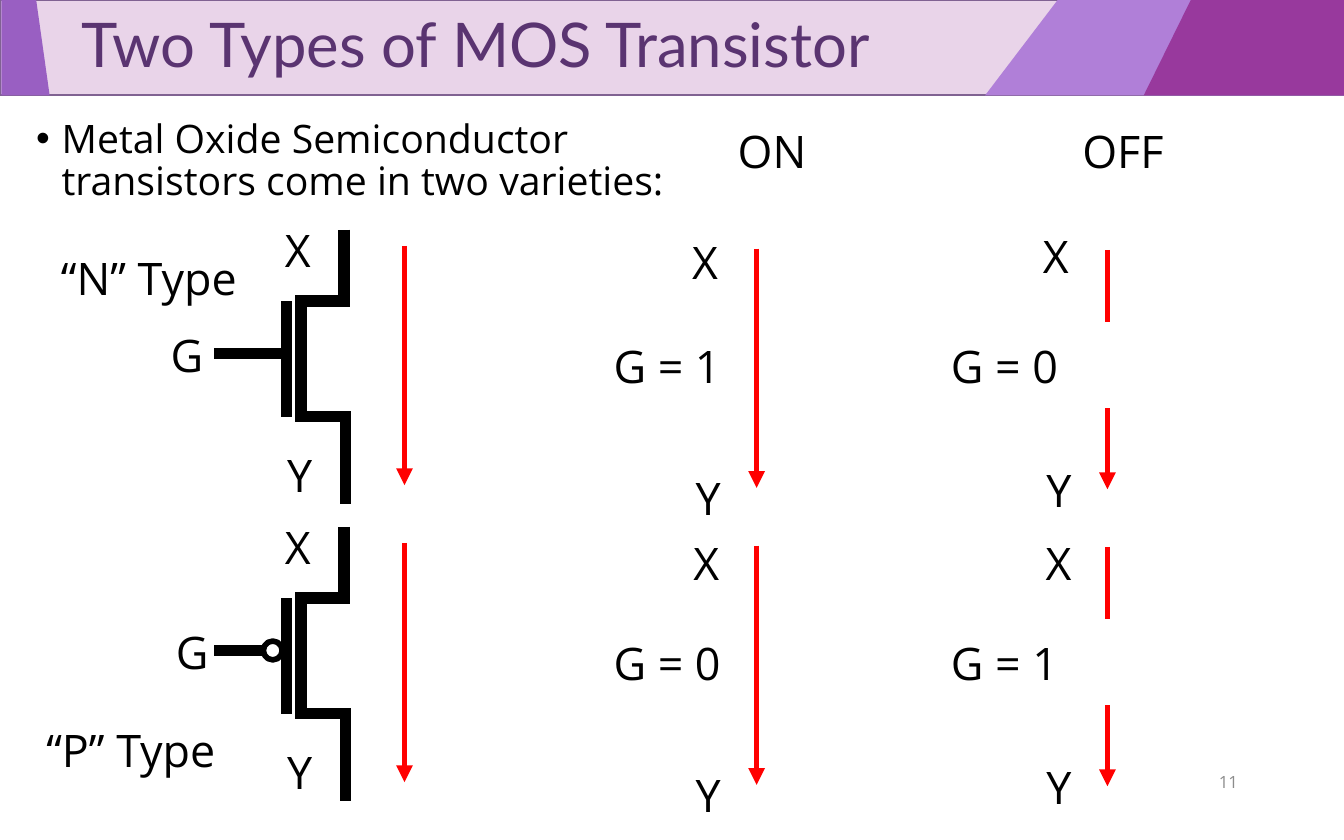
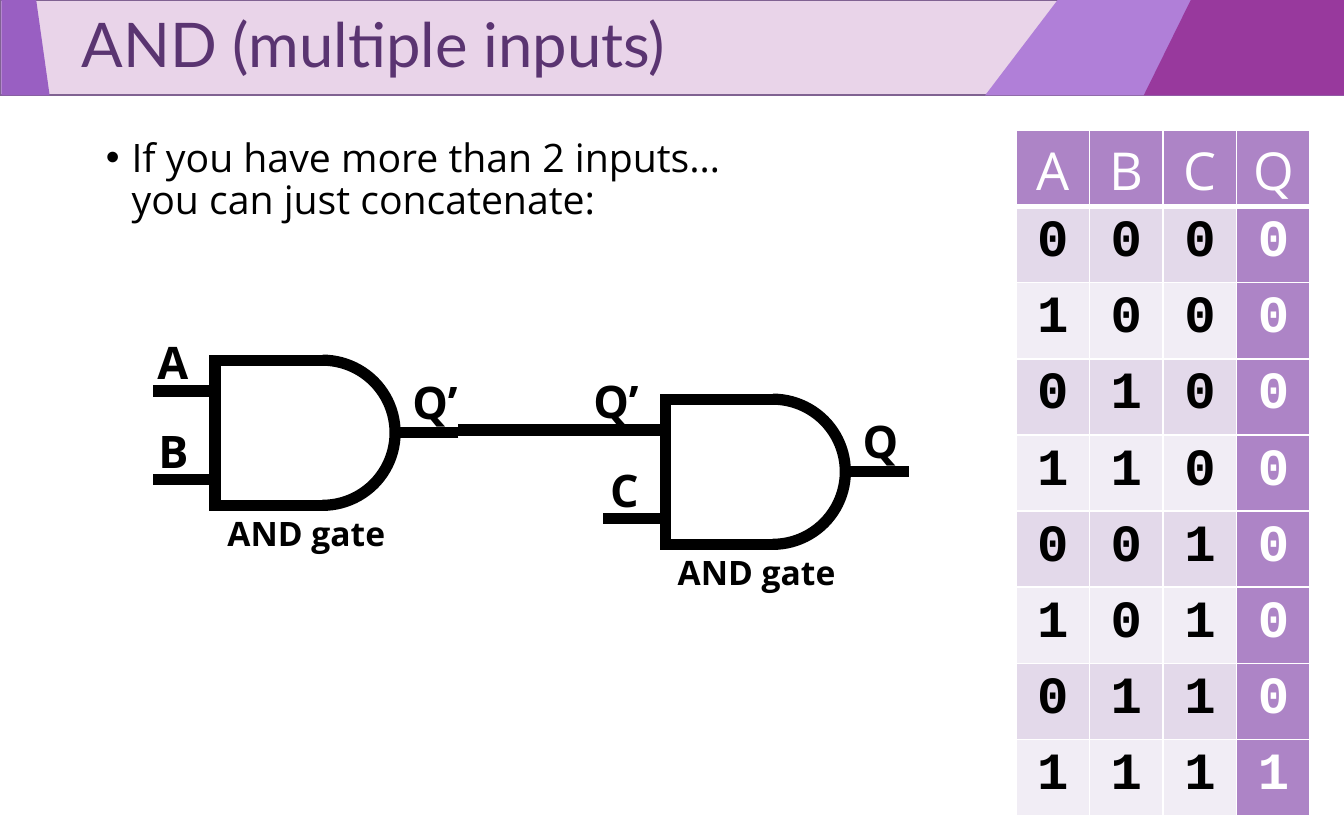
from pptx import Presentation
from pptx.dml.color import RGBColor
from pptx.enum.shapes import MSO_CONNECTOR, MSO_SHAPE
from pptx.enum.text import MSO_ANCHOR, PP_ALIGN
from pptx.oxml.ns import qn
from pptx.util import Inches, Pt
from lxml import etree

LEFT, MID, RIGHT = PP_ALIGN.LEFT, PP_ALIGN.CENTER, PP_ALIGN.RIGHT
TOP, CENTER = MSO_ANCHOR.TOP, MSO_ANCHOR.MIDDLE
RECT, OVAL, ARC = MSO_SHAPE.RECTANGLE, MSO_SHAPE.OVAL, MSO_SHAPE.ARC
STRAIGHT = MSO_CONNECTOR.STRAIGHT

BLACK = RGBColor(0x00, 0x00, 0x00)
WHITE = RGBColor(0xFF, 0xFF, 0xFF)
RED = RGBColor(0xFF, 0x00, 0x00)
GREY = RGBColor(0x8C, 0x8C, 0x8C)
PLUM = RGBColor(0x5A, 0x34, 0x71)
EDGE = RGBColor(0x80, 0x62, 0x92)
PALE = RGBColor(0xE9, 0xD4, 0xE9)
LILAC = RGBColor(0xB0, 0x7F, 0xD8)
VIOLET = RGBColor(0x99, 0x5F, 0xC2)
PURPLE = RGBColor(0x98, 0x39, 0x9D)
HEAD = RGBColor(0xAD, 0x84, 0xC6)
STRIPES = RGBColor(0xE3, 0xD9, 0xEA), RGBColor(0xF1, 0xED, 0xF5)

WIDE, HIGH, BAND = 10, 6.25, 0.71
SANS, TITLE, MONO = "Open Sans", "Lato", "Courier New"
THICK = 6

# Slanted pieces of the title band: colour, top left, top right, bottom right, bottom left
SLANTS = [
    (LILAC, 7.87, WIDE, WIDE, 7.33),
    (VIOLET, 0.01, 0.27, 0.37, 0.01),
    (PURPLE, 8.86, WIDE, WIDE, 8.51),
]

# Transistors: top of the symbol, bubble on the gate, labels as (text, right edge, drop)
TYPES = [
    (1.71, False, [("“N” Type", 1.86, 0.11), ("G", 1.61, 0.68),
                   ("G = 1", 5.46, 0.76), ("G = 0", 7.97, 0.76),
                   ("X", 5.44, -0.01), ("X", 8.05, -0.06)]),
    (3.92, True, [("“P” Type", 1.7, 1.41), ("G", 1.65, 0.68),
                  ("G = 0", 5.46, 0.76), ("G = 1", 7.97, 0.76),
                  ("X", 5.45, 0.02), ("X", 8.07, 0.02)]),
]
SHARED = [("X", 2.41, -0.1), ("Y", 2.42, 1.57), ("Y", 5.46, 1.74), ("Y", 8.07, 1.68)]
FLOWS = [(3.01, 0.12), (5.63, 0.14), (8.24, 0.15)]
STATES = [("ON", 5.21), ("OFF", 7.82)]

# Gates: left, top, inputs as (name, wire length), output name
GATES = [
    (1.6, 2.68, [("A", 0.46), ("B", 0.46)], "Q’"),
    (4.95, 2.97, [("Q’", 1.54), ("C", 0.46)], "Q"),
]

# Truth table: Q is 1 only where all inputs are
NAMES = "ABCQ"
INPUTS = ["000", "100", "010", "110", "001", "101", "011", "111"]
ROWS = [NAMES] + [bits + str(int("0" not in bits)) for bits in INPUTS]


def text(slide, words, x, y, w, h, size=24, color=BLACK, font=SANS,
         align=LEFT, bold=False, anchor=TOP, bullet=False, indent=0, space=None):
    frame = slide.shapes.add_textbox(
        Inches(x), Inches(y), Inches(w), Inches(h)).text_frame
    frame.word_wrap = True
    frame.vertical_anchor = anchor
    para = frame.paragraphs[0]
    para.text = words
    para.alignment = align
    para.line_spacing = space
    props = para._p.get_or_add_pPr()
    if indent:
        props.set("marL", str(Inches(indent)))
    if bullet:
        props.set("indent", str(-Inches(indent)))
        etree.SubElement(props, qn("a:buFont")).set("typeface", "Arial")
        etree.SubElement(props, qn("a:buChar")).set("char", "•")
    style(para, size, color, font, bold)


def style(para, size, color, font, bold):
    para.font.size = Pt(size)
    para.font.name = font
    para.font.bold = bold
    para.font.color.rgb = color


def paint(shape, fill=None, line=None, width=1):
    shape.shadow.inherit = False
    for part, color in ((shape.fill, fill), (shape.line.fill, line)):
        if color is None:
            part.background()
        else:
            part.solid()
            part.fore_color.rgb = color
    if line is not None:
        shape.line.width = Pt(width)


def block(slide, kind, x, y, w, h, *look):
    shape = slide.shapes.add_shape(kind, Inches(x), Inches(y), Inches(w), Inches(h))
    paint(shape, *look)
    return shape


def path(slide, points, *look, close=False):
    first, *rest = [(Inches(x), Inches(y)) for x, y in points]
    pen = slide.shapes.build_freeform(*first)
    pen.add_line_segments(rest, close=close)
    shape = pen.convert_to_shape()
    paint(shape, *look)
    if not close:
        miter = etree.SubElement(shape.line._get_or_add_ln(), qn("a:miter"))
        miter.set("lim", "800000")


def wire(slide, x1, y1, x2, y2, color=BLACK, width=THICK, arrow=False):
    line = slide.shapes.add_connector(
        STRAIGHT, Inches(x1), Inches(y1), Inches(x2), Inches(y2))
    line.line.color.rgb = color
    line.line.width = Pt(width)
    if arrow:
        etree.SubElement(line.line._get_or_add_ln(), qn("a:tailEnd")).set("type", "triangle")
    etree.SubElement(line._element.spPr, qn("a:effectLst"))


def start(deck, title, body, x, y, w, h):
    slide = deck.slides.add_slide(deck.slide_layouts[6])
    block(slide, RECT, 0, 0, WIDE, BAND, PALE, EDGE)
    for color, a, b, c, d in SLANTS:
        path(slide, [(a, 0), (b, 0), (c, BAND), (d, BAND)], color, close=True)
    text(slide, title, 0.01, 0, WIDE, BAND, 33, PLUM, TITLE,
         anchor=CENTER, indent=0.5, space=0.9)
    text(slide, body, x, y, w, h, 21, bullet=True, indent=0.19, space=0.9)
    return slide


def switch(slide, top, bubble, labels):
    # Symbol: channel, gate plate, gate lead
    turns = [(2.56, 0), (2.56, 0.53), (2.24, 0.53), (2.24, 1.39), (2.57, 1.39), (2.57, 2.04)]
    path(slide, [(x, top + y) for x, y in turns], None, BLACK, THICK)
    wire(slide, 2.13, top + 0.53, 2.13, top + 1.39)
    wire(slide, 2.13, top + 0.92, 1.59, top + 0.92)
    if bubble:
        block(slide, OVAL, 1.96, top + 0.85, 0.14, 0.14, WHITE, BLACK, 3)
    # Current: the last arrow is broken by a white block
    for x, drop in FLOWS:
        wire(slide, x, top + drop, x, top + drop + 1.78, RED, 3, True)
    block(slide, RECT, 7.98, top + 0.69, 0.7, 0.63, WHITE, WHITE)
    for words, right, drop in SHARED + labels:
        text(slide, words, right - 1.65, top + drop, 1.65, 0.5, align=RIGHT)


def gate(slide, x, y, inputs, output):
    for row, (name, length) in enumerate(inputs):
        level = y + 0.23 + 0.66 * row
        wire(slide, x, level, x - length, level)
        text(slide, name, x - 0.8, level - 0.47, 0.7, 0.5, align=RIGHT, bold=True)
    wire(slide, x + 1.81, y + 0.54, x + 1.35, y + 0.54)
    text(slide, output, x + 1.37, y + 0.06, 0.7, 0.5, bold=True)
    curve = block(slide, ARC, x + 0.26, y, 1.08, 1.08, None, BLACK, THICK)
    curve.adjustments[0], curve.adjustments[1] = 162, 54
    path(slide, [(x + 0.81, y + 1.08), (x, y + 1.08), (x, y), (x + 0.81, y)],
         None, BLACK, THICK)
    text(slide, "AND gate", x - 0.32, y + 1.09, 2, 0.4, 18, align=MID, bold=True)


def border(cell, bottom):
    props = cell._tc.get_or_add_tcPr()
    for side, width in (("L", 1), ("R", 1), ("T", 1), ("B", bottom)):
        line = etree.SubElement(props, qn("a:ln" + side), w=str(Pt(width)))
        fill = etree.SubElement(line, qn("a:solidFill"))
        etree.SubElement(fill, qn("a:srgbClr")).set("val", str(WHITE))


def truth(slide, x, y, w, h):
    table = slide.shapes.add_table(
        len(ROWS), len(NAMES), Inches(x), Inches(y), Inches(w), Inches(h)).table
    for r, row in enumerate(ROWS):
        for c, mark in enumerate(row):
            cell = table.cell(r, c)
            head, last = r == 0, c == len(NAMES) - 1
            border(cell, 3 if head else 1)
            cell.margin_left = cell.margin_right = Inches(0.05)
            cell.margin_top = Inches(0.03 if head else 0.05)
            cell.margin_bottom = 0
            cell.fill.solid()
            cell.fill.fore_color.rgb = HEAD if head or last else STRIPES[(r - 1) % 2]
            para = cell.text_frame.paragraphs[0]
            para.text = mark
            para.alignment = MID
            style(para, 28, WHITE if head or last else BLACK,
                  SANS if head else MONO, not head)


def main():
    deck = Presentation()
    deck.slide_width, deck.slide_height = Inches(WIDE), Inches(HIGH)

    # Transistors
    slide = start(deck, "Two Types of MOS Transistor",
                  "Metal Oxide Semiconductor\ntransistors come in two varieties:",
                  0.17, 0.84, 9.58, 1.32)
    text(slide, "11", 7.06, 5.65, 2.25, 0.33, 9, GREY, align=RIGHT, anchor=CENTER)
    for words, x in STATES:
        text(slide, words, x, 0.87, 1.07, 0.5, align=MID)
    for kind in TYPES:
        switch(slide, *kind)

    # Chained gates
    slide = start(deck, "AND (multiple inputs)",
                  "If you have more than 2 inputs…\nyou can just concatenate:",
                  0.69, 0.98, 8.62, 4.65)
    for part in GATES:
        gate(slide, *part)
    truth(slide, 7.56, 0.97, 2.19, 5.1)

    deck.save("out.pptx")


if __name__ == "__main__":
    main()
